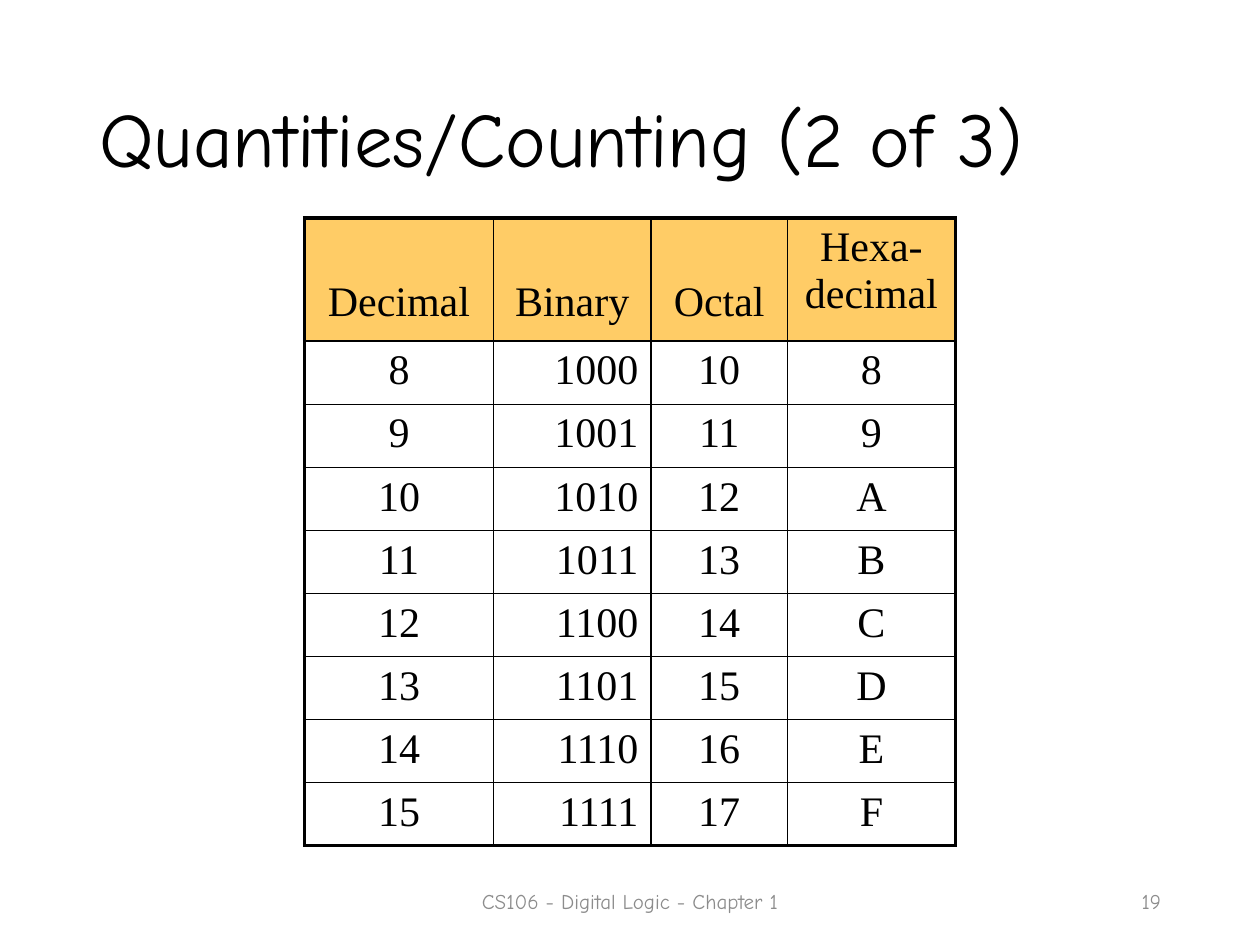
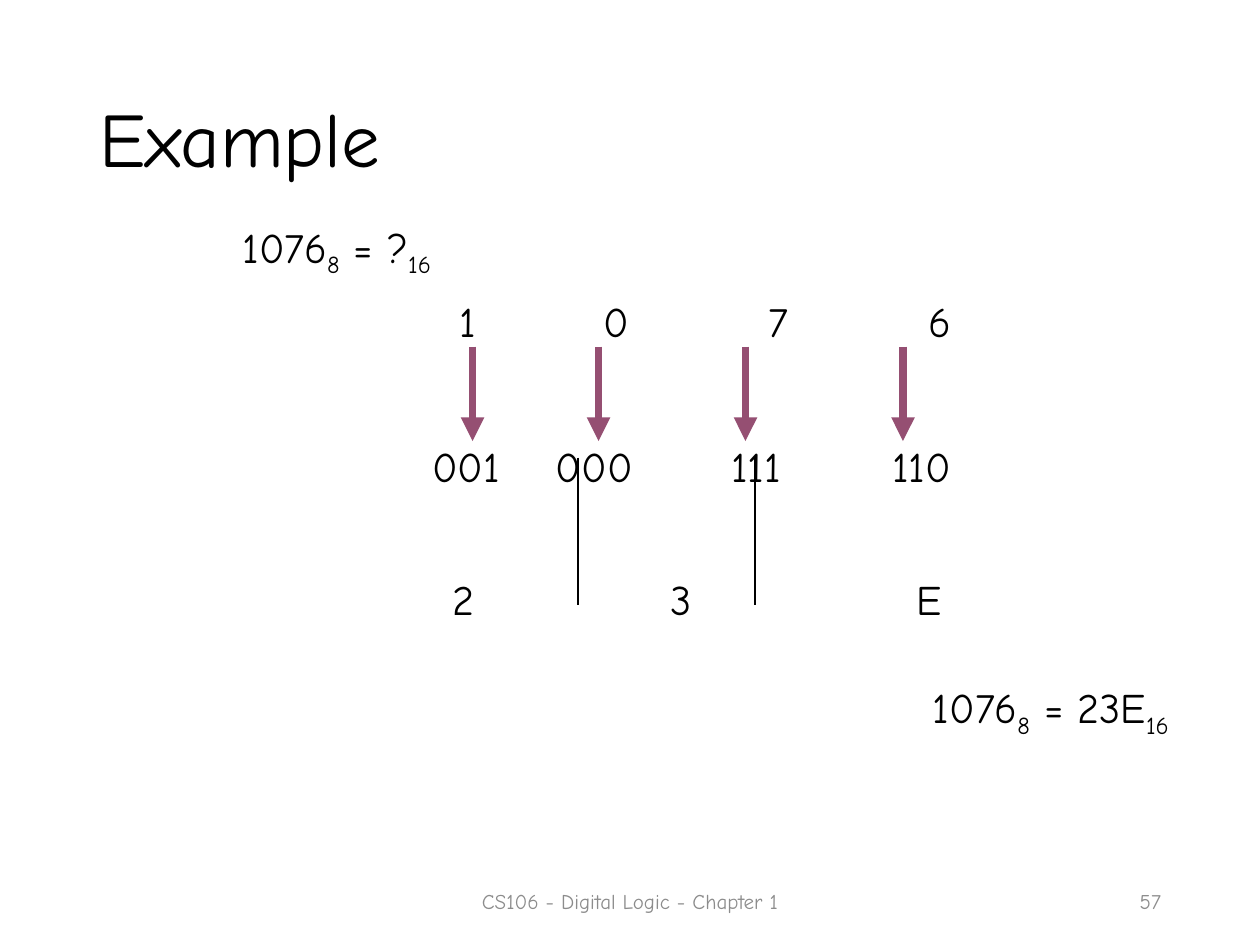
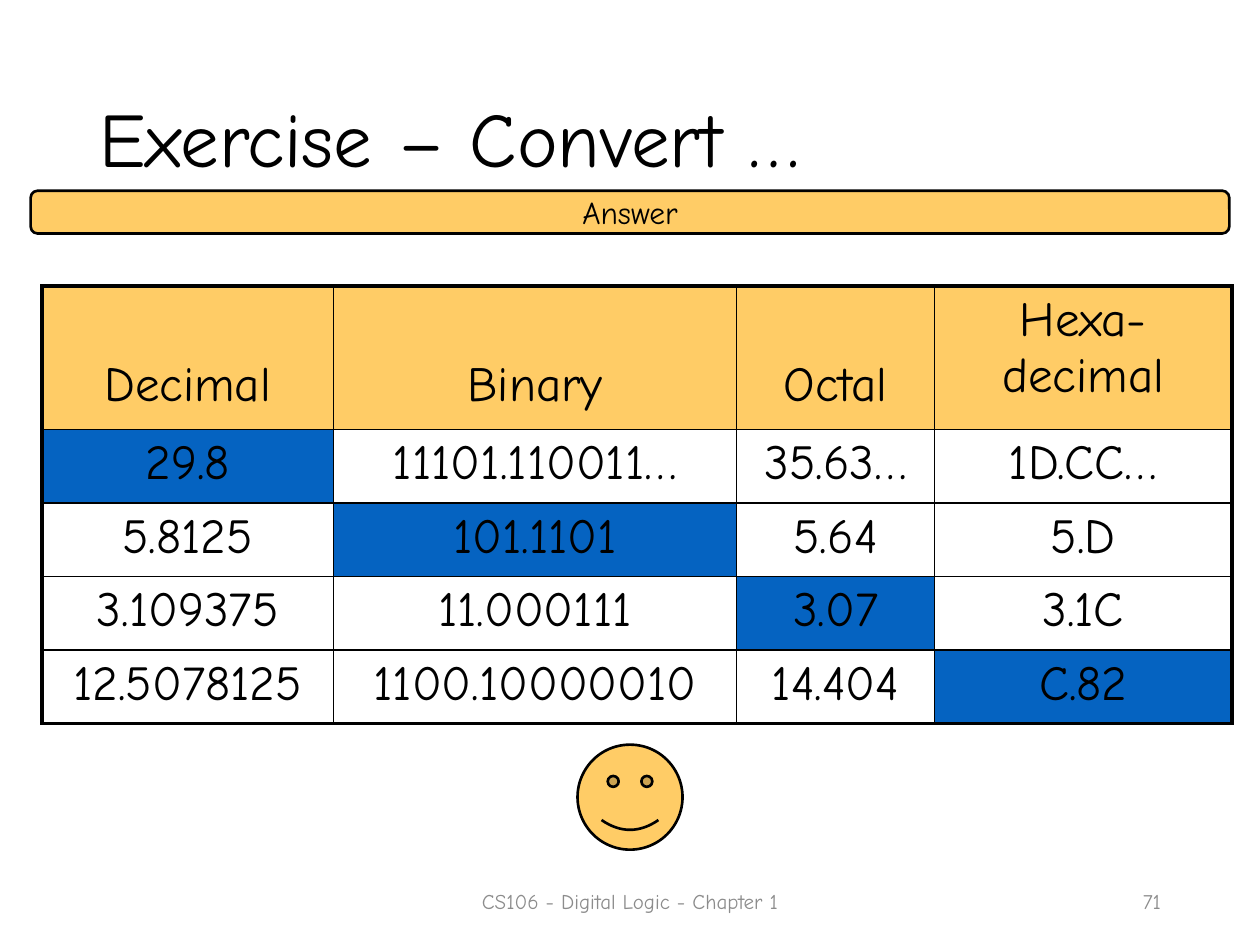
from dataclasses import dataclass
from itertools import product

from lxml.etree import SubElement as Sub
from pptx import Presentation
from pptx.dml.color import RGBColor as RGB
from pptx.enum.shapes import MSO_CONNECTOR as Conn, MSO_SHAPE as Kind
from pptx.enum.text import MSO_ANCHOR as Anchor, PP_ALIGN as Align
from pptx.oxml.ns import qn
from pptx.util import Pt


@dataclass(frozen=True)
class Theme:
    """Hold the colours, fonts and sizes that the slides share."""
    ink: str = "000000"
    gray: str = "8C8C8C"
    gold: str = "FFCC66"
    blue: str = "0563C1"
    plum: str = "954F72"
    hand: str = "Comic Neue"
    serif: str = "Times New Roman"
    title: int = 44
    big: int = 28
    body: int = 24
    label: int = 18
    foot: int = 12
    thick: float = 2.25
    edge: float = 1.5
    thin: float = 1
    arrow: float = 4.5


T = Theme()
HEADS = ["Decimal", "Binary", "Octal", "Hexa-\ndecimal"]


def put(obj, **vals):
    """Set each given value as an attribute of the object."""
    for key, val in vals.items():
        setattr(obj, key, val)


def write(par, text, size=T.body, name=T.hand, color=T.ink, **vals):
    """Write text in a paragraph; underscores switch subscript on and off."""
    put(par, **vals)
    for row, line in enumerate(text.split("\n")):
        if row:
            par.add_line_break()
        for num, part in enumerate(line.split("_")):
            if not part:
                continue
            run = par.add_run()
            run.text = part
            put(run.font, name=name, size=Pt(size))
            run.font.color.rgb = RGB.from_string(color)
            if num % 2:
                run.font._element.set("baseline", "-25000")


def label(shapes, box, text, anchor=Anchor.TOP, **look):
    """Add a wrapped text box with one paragraph and return its frame."""
    frame = shapes.add_textbox(*map(Pt, box)).text_frame
    put(frame, word_wrap=True, vertical_anchor=anchor)
    write(frame.paragraphs[0], text, **look)
    return frame


def stops(par, spots):
    """Give a paragraph centred tab stops."""
    tabs = Sub(par._p.get_or_add_pPr(), qn("a:tabLst"))
    for spot in spots:
        Sub(tabs, qn("a:tab"), pos=str(Pt(spot)), algn="ctr")


def line(shapes, x, top, end, color, width, head=False):
    """Draw a line straight down, with an arrowhead if wanted."""
    link = shapes.add_connector(Conn.STRAIGHT, *map(Pt, (x, top, x, end)))
    link.line.color.rgb = RGB.from_string(color)
    link.line.width = Pt(width)
    props = link._element.spPr
    if head:
        Sub(link.line._get_or_add_ln(), qn("a:tailEnd"), type="triangle")
    Sub(props, qn("a:effectLst"))


def badge(shapes, kind, box):
    """Add a gold preset shape with a dark outline."""
    shape = shapes.add_shape(kind, *map(Pt, box))
    shape.shadow.inherit = False
    shape.fill.solid()
    shape.fill.fore_color.rgb = RGB.from_string(T.gold)
    shape.line.color.rgb = RGB.from_string(T.ink)
    shape.line.width = Pt(T.edge)
    return shape


def page(deck, title, number):
    """Add a slide with its title and footer."""
    slide = deck.slides.add_slide(deck.slide_layouts[5])
    head = slide.shapes.title
    put(head, left=Pt(49.5), top=Pt(29), width=Pt(621), height=Pt(104.5))
    put(head.text_frame, word_wrap=True, vertical_anchor=Anchor.MIDDLE)
    write(head.text_frame.paragraphs[0], title, T.title,
          alignment=Align.LEFT, line_spacing=0.9)
    look = dict(anchor=Anchor.MIDDLE, size=T.foot, color=T.gray)
    label(slide.shapes, (238.5, 500.5, 243, 28.5),
          "CS106 - Digital Logic - Chapter 1", alignment=Align.CENTER, **look)
    label(slide.shapes, (508.5, 500.5, 162, 28.5), str(number),
          alignment=Align.RIGHT, **look)
    return slide.shapes


def frame(cell, row, col, last):
    """Draw a cell's borders, thick on the outside of the table."""
    props = cell._tc.get_or_add_tcPr()
    outer = {"L": col == 0, "R": col == last[1],
             "T": row == 0, "B": row == last[0]}
    for side, far in outer.items():
        width = Pt(T.thick if far else T.thin)
        edge = Sub(props, qn(f"a:ln{side}"), w=str(width))
        Sub(Sub(edge, qn("a:solidFill")), qn("a:srgbClr"), val=T.ink)


def grid(shapes, spot, cols, tall, rows, size, name, right=(), hot=()):
    """Add a number table with a gold head row and blue hot cells."""
    data = [HEADS, *rows]
    highs = [tall[0]] + [tall[1]] * len(rows)
    box = (*spot, sum(cols), sum(highs))
    table = shapes.add_table(len(data), len(cols), *map(Pt, box)).table
    put(table, first_row=False, horz_banding=False)
    for col, wide in zip(table.columns, cols):
        col.width = Pt(wide)
    for row, high in zip(table.rows, highs):
        row.height = Pt(high)
    for r, c in product(range(len(data)), range(len(cols))):
        cell, text = table.cell(r, c), data[r][c]
        frame(cell, r, c, (len(rows), len(cols) - 1))
        if r == 0 or (r, c) in hot:
            cell.fill.solid()
            cell.fill.fore_color.rgb = RGB.from_string(T.blue if r else T.gold)
        else:
            cell.fill.background()
        if r == 0 and "\n" not in text:
            cell.margin_top = Pt(3.6 + 1.32 * size)
        side = Align.RIGHT if r and c in right else Align.CENTER
        write(cell.text_frame.paragraphs[0], text, size, name, alignment=side)


def octal(shapes, x, y):
    """Show the octal digits above their groups of three bits."""
    group = shapes.add_group_shape().shapes
    text = label(group, (x, y, 336, 180), "\t1\t0\t7\t6")
    stops(text.paragraphs[0], (20.5, 105, 198, 290))
    bits = text.add_paragraph()
    stops(bits, (19, 92.5, 185, 279.5))
    write(bits, "\t001\t000\t111\t110", space_before=Pt(54))
    for step in (30, 102, 186, 276):
        line(group, x + step, y + 32.5, y + 86.5, T.plum, T.arrow, True)


def hexa(shapes, x, y):
    """Show the hexadecimal digits and the lines that split the bits."""
    group = shapes.add_group_shape().shapes
    text = label(group, (x, y, 317.5, 36.5), "\t2\t3\tE")
    stops(text.paragraphs[0], (22, 146, 288))
    for step in (94.5, 195.5):
        line(group, x + step, y - 62.5, y + 21.5, T.ink, T.thin)


def count(deck):
    """Build the counting slide."""
    shapes = page(deck, "Quantities/Counting (2 of 3)", 19)
    rows = [[str(n), f"{n:b}", f"{n:o}", f"{n:X}"] for n in range(8, 16)]
    grid(shapes, (174, 124.5), (108, 90, 78, 96), (70.5, 36), rows,
         T.body, T.serif, right=(1,))


def sample(deck):
    """Build the worked example slide."""
    shapes = page(deck, "Example", 57)
    label(shapes, (24.5, 123, 336, 36), "1076_8_ = ?_16",
          alignment=Align.CENTER)
    octal(shapes, 240, 165.5)
    hexa(shapes, 236, 324)
    label(shapes, (339, 386, 336, 36), "1076_8_ = 23E_16",
          alignment=Align.RIGHT)


def answer(deck):
    """Build the exercise slide with its answers."""
    shapes = page(deck, "Exercise – Convert …", 71)
    rows = [["29.8", "11101.110011…", "35.63…", "1D.CC…"],
            ["5.8125", "101.1101", "5.64", "5.D"],
            ["3.109375", "11.000111", "3.07", "3.1C"],
            ["12.5078125", "1100.10000010", "14.404", "C.82"]]
    grid(shapes, (24, 163.5), (166.5, 230.5, 113, 170), (82, 42), rows,
         T.big, T.hand, hot=[(n + 1, n) for n in range(4)])
    badge(shapes, Kind.SMILEY_FACE, (330, 425.5, 60, 60))
    bar = badge(shapes, Kind.ROUNDED_RECTANGLE, (17.5, 109, 685, 24.5))
    put(bar.text_frame, word_wrap=True, vertical_anchor=Anchor.MIDDLE,
        margin_top=0, margin_bottom=0)
    write(bar.text_frame.paragraphs[0], "Answer", T.label,
          alignment=Align.CENTER)


def main():
    """Build and save the deck."""
    deck = Presentation()
    put(deck, slide_width=Pt(720), slide_height=Pt(540))
    for build in (count, sample, answer):
        build(deck)
    deck.save("out.pptx")


if __name__ == "__main__":
    main()
